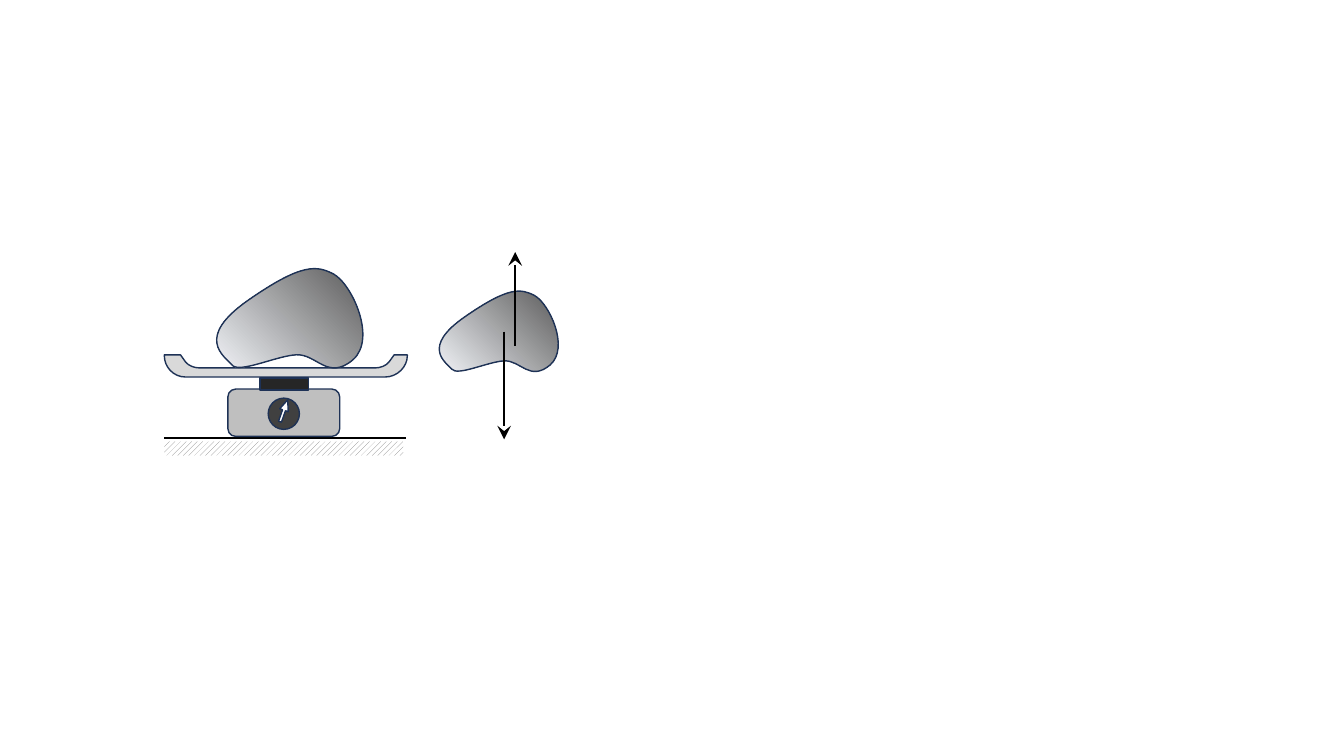
from dataclasses import dataclass
from math import cos, radians, sin

from lxml.etree import SubElement
from pptx import Presentation
from pptx.dml.color import RGBColor
from pptx.enum.dml import MSO_PATTERN
from pptx.enum.shapes import MSO_CONNECTOR, MSO_SHAPE
from pptx.oxml import parse_xml
from pptx.oxml.ns import nsdecls, qn
from pptx.util import Inches, Pt


@dataclass(frozen=True)
class Theme:
    outline: str = "1E3256"
    force: str = "000000"
    hatch: str = "808080"
    paper: str = "FFFFFF"
    tray: str = "D9D9D9"
    body: str = "BFBFBF"
    dial: str = "404040"
    neck: str = "262626"
    rock_light: str = "F6F8FC"
    rock_dark: str = "595959"
    thin: float = 1
    thick: float = 1.5


THEME = Theme()

# Outlines in inches from the top left of their frame:
# one point is a line end, three points are a cubic curve
TRAY_SIZE = (2.41, 0.22)
TRAY = [
    [(0, 0)], [(0.16, 0)], [(0.21, 0.07)],
    [(0.24, 0.11), (0.3, 0.13), (0.35, 0.13)], [(2.09, 0.13)],
    [(2.14, 0.13), (2.2, 0.11), (2.23, 0.07)], [(2.28, 0)], [(2.41, 0)],
    [(2.41, 0.01)], [(2.41, 0.12), (2.31, 0.22), (2.19, 0.22)], [(0.21, 0.22)],
    [(0.09, 0.22), (0, 0.12), (0, 0.01)],
]
ROCK_SIZE = (1.45, 1)
ROCK_TILT = -3.4
TILTED_ROCK = [
    [(0.32, 0.3)],
    [(0.85, -0.07), (1, -0.05), (1.17, 0.04)],
    [(1.35, 0.14), (1.6, 0.68), (1.36, 0.89)],
    [(1.11, 1.1), (1, 0.83), (0.8, 0.84)],
    [(0.6, 0.85), (0.23, 1.03), (0.16, 0.94)],
    [(0.08, 0.85), (-0.21, 0.67), (0.32, 0.3)],
]


def rgb(color):
    return RGBColor.from_string(color)


def paint(sp, fill=None):
    """Give a shape the common outline, no shadow and an optional solid fill."""
    sp.shadow.inherit = False
    sp.line.color.rgb = rgb(THEME.outline)
    sp.line.width = Pt(THEME.thin)
    if fill:
        sp.fill.solid()
        sp.fill.fore_color.rgb = rgb(fill)
    return sp


def add_part(s, kind, x, y, w, h, fill=None):
    sp = s.shapes.add_shape(kind, Inches(x), Inches(y), Inches(w), Inches(h))
    return paint(sp, fill)


def add_outline(s, outline, size, x, y, w, h, fill):
    """Fit a curved outline drawn at the given size into a frame."""
    builder = s.shapes.build_freeform(Inches(x), Inches(y))
    builder.add_line_segments([(Inches(x + w), Inches(y + h))], close=False)
    sp = builder.convert_to_shape()
    track = next(sp.element.iter(qn("a:path")))
    for step in list(track):
        track.remove(step)
    track.set("w", str(Inches(size[0])))
    track.set("h", str(Inches(size[1])))
    for i, points in enumerate(outline):
        tag = "cubicBezTo" if len(points) == 3 else "lnTo" if i else "moveTo"
        step = SubElement(track, qn(f"a:{tag}"))
        for px, py in points:
            SubElement(step, qn("a:pt"), x=str(Inches(px)), y=str(Inches(py)))
    SubElement(track, qn("a:close"))
    return paint(sp, fill)


def untilt(point):
    """Turn a rock point back about the middle of the rock."""
    angle = radians(-ROCK_TILT)
    cx, cy = ROCK_SIZE[0] / 2, ROCK_SIZE[1] / 2
    dx, dy = point[0] - cx, point[1] - cy
    return (cx + dx * cos(angle) - dy * sin(angle),
            cy + dx * sin(angle) + dy * cos(angle))


def add_rock(s, x, y, w, h):
    outline = [[untilt(point) for point in points] for points in TILTED_ROCK]
    sp = add_outline(s, outline, ROCK_SIZE, x, y, w, h, THEME.rock_dark)
    sp.rotation = ROCK_TILT
    # Gradient that spreads from the lower left corner
    gradient = parse_xml(
        f'<a:gradFill {nsdecls("a")} rotWithShape="1"><a:gsLst>'
        f'<a:gs pos="0"><a:srgbClr val="{THEME.rock_light}"/></a:gs>'
        f'<a:gs pos="100000"><a:srgbClr val="{THEME.rock_dark}"/></a:gs>'
        '</a:gsLst><a:path path="circle">'
        '<a:fillToRect t="100000" r="100000"/></a:path></a:gradFill>')
    props = sp.element.spPr
    props.replace(props.find(qn("a:solidFill")), gradient)


def add_line(s, x1, y1, x2, y2, arrow=False):
    line = s.shapes.add_connector(MSO_CONNECTOR.STRAIGHT, Inches(x1), Inches(y1),
                                  Inches(x2), Inches(y2))
    line.line.color.rgb = rgb(THEME.force)
    line.line.width = Pt(THEME.thick)
    props = line.element.spPr
    if arrow:
        SubElement(props.find(qn("a:ln")), qn("a:tailEnd"),
                   type="stealth", w="lg", len="lg")
    SubElement(props, qn("a:effectLst"))


def add_ground(s):
    hatch = add_part(s, MSO_SHAPE.RECTANGLE, 1.63, 4.38, 2.37, 0.14)
    hatch.line.fill.background()
    hatch.fill.patterned()
    hatch.fill.pattern = MSO_PATTERN.WIDE_UPWARD_DIAGONAL
    hatch.fill.fore_color.rgb = rgb(THEME.hatch)
    hatch.fill.back_color.rgb = rgb(THEME.paper)
    add_line(s, 1.63, 4.35, 4.03, 4.35)


def add_scale(s):
    add_outline(s, TRAY, TRAY_SIZE, 1.63, 3.52, *TRAY_SIZE, THEME.tray)
    add_part(s, MSO_SHAPE.ROUNDED_RECTANGLE, 2.26, 3.86, 1.11, 0.47, THEME.body)
    add_part(s, MSO_SHAPE.OVAL, 2.66, 3.95, 0.31, 0.31, THEME.dial)
    needle = add_part(s, MSO_SHAPE.DOWN_ARROW, 2.77, 3.96, 0.09, 0.23, THEME.paper)
    needle.adjustments[0] = 0.34
    needle.adjustments[1] = 1.21
    needle.rotation = 199.3
    add_part(s, MSO_SHAPE.RECTANGLE, 2.58, 3.75, 0.48, 0.12, THEME.neck)


def main():
    prs = Presentation()
    prs.slide_width, prs.slide_height = Inches(13.33), Inches(7.5)
    s = prs.slides.add_slide(prs.slide_layouts[6])

    # Rock resting on the scale
    add_ground(s)
    add_scale(s)
    add_rock(s, 2.14, 2.68, *ROCK_SIZE)

    # Free rock with its weight and the supporting force
    add_rock(s, 4.35, 2.9, 1.18, 0.81)
    add_line(s, 5, 3.29, 5, 4.36, arrow=True)
    add_line(s, 5.11, 3.43, 5.11, 2.5, arrow=True)

    prs.save("out.pptx")


if __name__ == "__main__":
    main()
